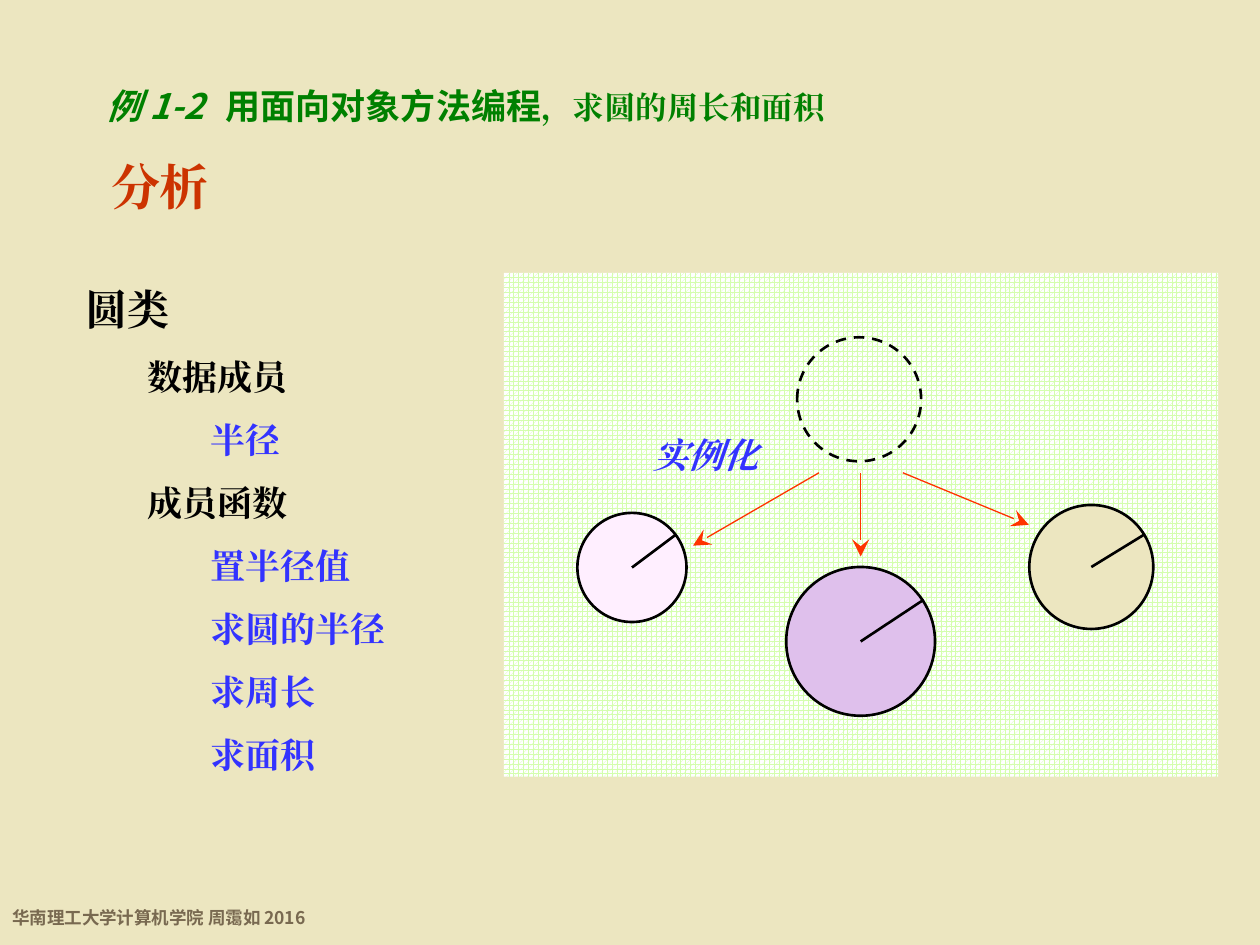
from pptx import Presentation
from pptx import util as u
from pptx.dml.color import RGBColor
from pptx.enum import dml, shapes, text
from pptx.oxml.ns import qn
from lxml import etree

SAND = RGBColor(0xEC, 0xE6, 0xC0)
BROWN = RGBColor(0x78, 0x69, 0x50)
GREEN = RGBColor(0x00, 0x80, 0x00)
RUST = RGBColor(0xCC, 0x33, 0x00)
BLUE = RGBColor(0x33, 0x33, 0xFF)
BLACK = RGBColor(0x00, 0x00, 0x00)
WHITE = RGBColor(0xFF, 0xFF, 0xFF)
LIME = RGBColor(0xD4, 0xFE, 0xAE)
PURPLE = RGBColor(0xDF, 0xC0, 0xEC)
PINK = RGBColor(0xFF, 0xEF, 0xFF)
RED = RGBColor(0xFF, 0x33, 0x00)
SANS = "Noto Sans CJK SC"
SERIF = "Times New Roman"
LEFT, MID = text.PP_ALIGN.LEFT, text.PP_ALIGN.CENTER


class Page:
    """Style and drawing methods for one slide."""

    def __init__(self, deck):
        self.slide = deck.slides.add_slide(deck.slide_layouts[5])
        self.items = self.slide.shapes
        fill = self.slide.background.fill
        fill.solid()
        fill.fore_color.rgb = SAND

    def style(self, run, size, color, face=SERIF, slant=False):
        font = run.font
        font.size, font.name = u.Pt(size), face
        font.bold, font.italic = True, slant
        font.color.rgb = color
        east = etree.SubElement(run._r.get_or_add_rPr(), qn("a:ea"))
        east.set("typeface", face)

    def frame(self, shape, wrap=True):
        body = shape.text_frame
        body.word_wrap = wrap
        body.auto_size = text.MSO_AUTO_SIZE.NONE
        body.vertical_anchor = text.MSO_ANCHOR.TOP
        body.margin_left = body.margin_right = u.Cm(0.25)
        body.margin_top = body.margin_bottom = u.Cm(0.13)
        return body

    def place(self, shape, box):
        shape.left, shape.top, shape.width, shape.height = map(u.Cm, box)

    def title(self, box, parts, tab, pitch):
        """Fill the title with (words, size, face, slant) parts and a tab stop."""
        shape = self.items.title
        self.place(shape, box)
        para = self.frame(shape).paragraphs[0]
        para.alignment, para.line_spacing = LEFT, u.Pt(pitch)
        stops = etree.SubElement(para._p.get_or_add_pPr(), qn("a:tabLst"))
        etree.SubElement(stops, qn("a:tab"), pos=str(u.Cm(tab)), algn="l")
        for words, size, face, slant in parts:
            run = para.add_run()
            run.text = words
            self.style(run, size, GREEN, face, slant)

    def label(self, box, words, size, color, face=SERIF, slant=False,
              align=MID, pitch=None):
        body = self.frame(self.items.add_textbox(*map(u.Cm, box)), False)
        body.text = words
        para = body.paragraphs[0]
        para.alignment = align
        if pitch:
            para.line_spacing = u.Pt(pitch)
        self.style(para.runs[0], size, color, face, slant)

    def tree(self, box, rows, looks, step):
        """Write (level, words) rows; looks gives size and colour by level."""
        body = self.frame(self.items.add_textbox(*map(u.Cm, box)))
        body.text = "\n".join(words for _, words in rows)
        for para, (level, _) in zip(body.paragraphs, rows):
            size, color = looks[level]
            para.line_spacing = u.Pt(size * 1.8)
            para._p.get_or_add_pPr().set("marL", str(u.Cm(level * step)))
            self.style(para.runs[0], size, color)

    def panel(self, box):
        shape = self.items.add_shape(shapes.MSO_SHAPE.RECTANGLE, *map(u.Cm, box))
        shape.shadow.inherit = False
        shape.fill.patterned()
        shape.fill.pattern = dml.MSO_PATTERN.SPHERE
        shape.fill.fore_color.rgb = LIME
        shape.fill.back_color.rgb = WHITE
        shape.line.fill.background()

    def ring(self, x, y, size, color=None):
        """Draw a circle round (x, y); without a colour it is dashed and open."""
        half = size / 2
        shape = self.items.add_shape(
            shapes.MSO_SHAPE.OVAL, *map(u.Cm, (x - half, y - half, size, size)))
        shape.shadow.inherit = False
        shape.line.color.rgb = BLACK
        shape.line.width = u.Pt(1.5)
        if color:
            shape.fill.solid()
            shape.fill.fore_color.rgb = color
        else:
            shape.fill.background()
            shape.line.dash_style = dml.MSO_LINE.DASH

    def line(self, start, end, color=BLACK, width=1.5, arrow=False):
        shape = self.items.add_connector(
            shapes.MSO_CONNECTOR.STRAIGHT, *map(u.Cm, start + end))
        shape.line.color.rgb = color
        shape.line.width = u.Pt(width)
        if arrow:
            etree.SubElement(shape.line._get_or_add_ln(), qn("a:tailEnd"),
                             type="stealth", w="lg", len="lg")
        etree.SubElement(shape._element.spPr, qn("a:effectLst"))


def main():
    deck = Presentation()
    deck.slide_width, deck.slide_height = u.Cm(25.4), u.Cm(19.05)
    page = Page(deck)

    page.label((0, 17.98, 6.58, 0.86), "华南理工大学计算机学院 周霭如 2016",
               10, BROWN, SANS, align=LEFT, pitch=17)
    page.panel((10.16, 5.5, 14.4, 10.16))
    page.title((1.9, 1.07, 17.78, 1.6),
               [("例 1-2\t", 20, SANS, True),
                ("用面向对象方法编程", 20, SANS, False),
                ("，求圆的周长和面积", 18, SERIF, False)], 2.4, 38)
    page.label((1.98, 3.02, 2.49, 1.45), "分析", 28, RUST)

    page.ring(17.32, 8.05, 2.5)
    for x, y, size, color, dx, dy in [
            (17.35, 12.93, 3, PURPLE, 1.27, -0.84),
            (22, 11.43, 2.5, SAND, 1.06, -0.65),
            (12.74, 11.44, 2.2, PINK, 0.88, -0.66)]:
        page.ring(x, y, size, color)
        page.line((x, y), (x + dx, y + dy))

    page.tree((1.47, 5.08, 7.09, 10.67),
              [(0, "圆类"),
               (1, "数据成员"), (2, "半径"),
               (1, "成员函数"), (2, "置半径值"), (2, "求圆的半径"),
               (2, "求周长"), (2, "求面积")],
              [(24, BLACK), (20, BLACK), (20, BLUE)], 1.26)

    for x, end in [(16.51, (13.97, 11)), (17.35, (17.35, 11.22)),
                   (18.2, (20.74, 10.58))]:
        page.line((x, 9.53), end, RED, 0.75, True)
    page.label((12.93, 8.61, 2.62, 1.09), "实例化", 20, BLUE, slant=True)

    deck.save("out.pptx")


if __name__ == "__main__":
    main()
